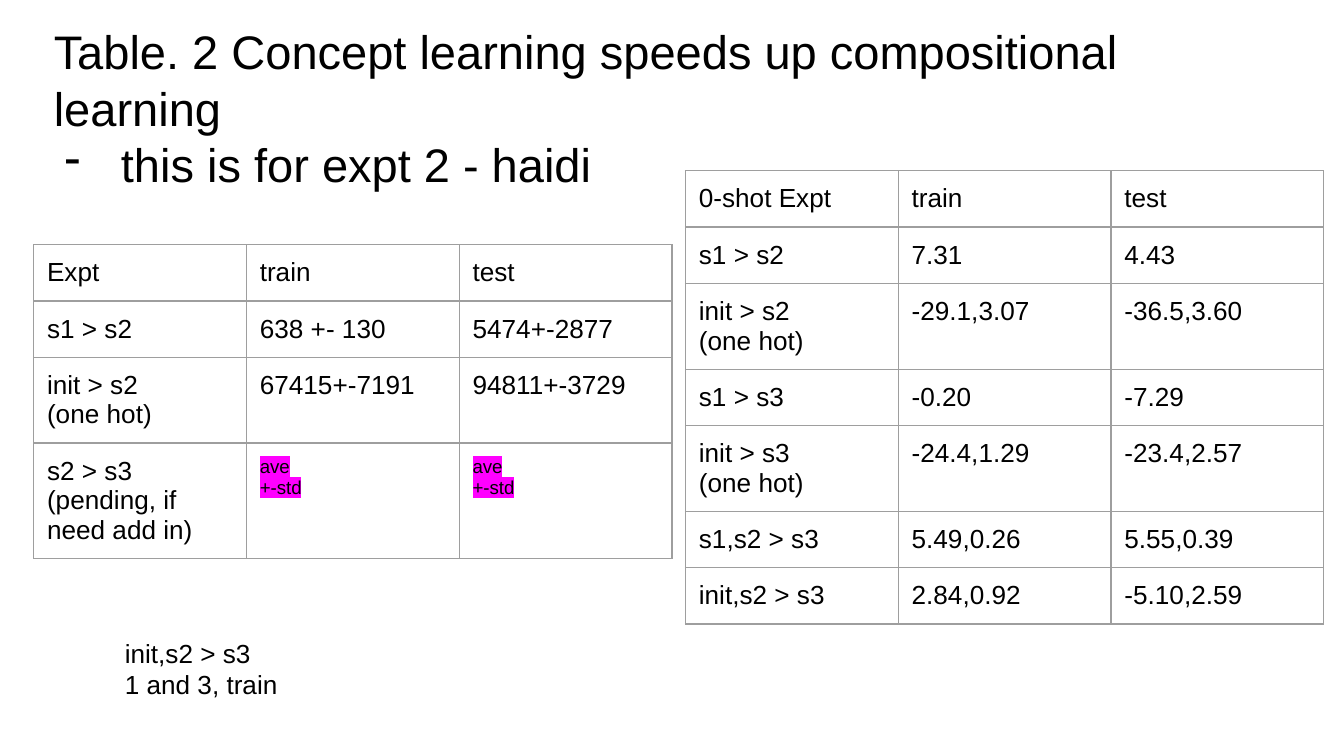
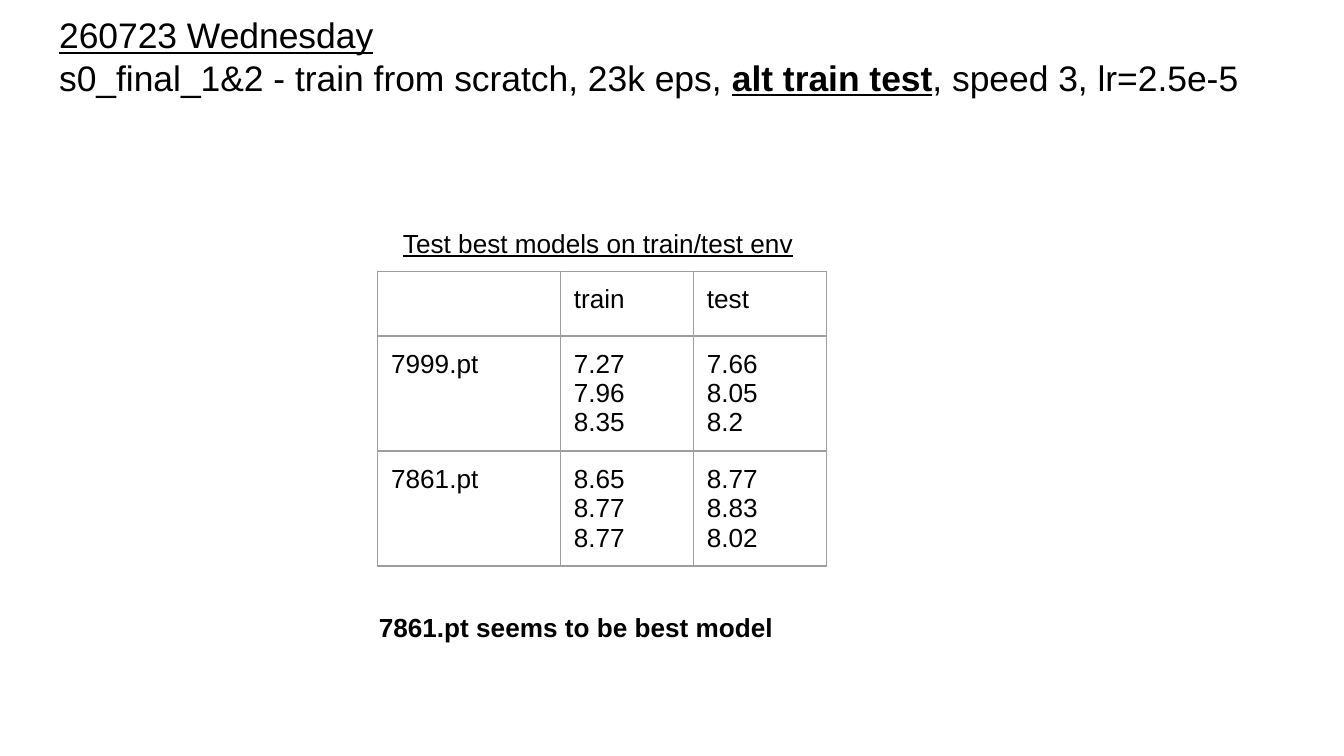
from dataclasses import dataclass

from lxml.etree import SubElement
from pptx import Presentation
from pptx.dml.color import RGBColor as Rgb
from pptx.enum.text import MSO_ANCHOR as Anchor, MSO_AUTO_SIZE as AutoSize, PP_ALIGN as Align
from pptx.oxml import parse_xml
from pptx.oxml.ns import nsdecls, qn
from pptx.util import Inches, Pt


@dataclass(frozen=True)
class Theme:
    font: str = "Arial"
    ink: str = "000000"
    rule: str = "9E9E9E"
    marker: str = "FF00FF"
    body: float = 14
    pending: float = 10
    empty: float = 18
    rule_width: float = 0.75
    inset: float = 0.1
    row: float = 0.42
    title_width: float = 9.32
    title_height: float = 0.63
    hanging: tuple = (0.5, -0.42)


THEME = Theme()
SLIDE_SIZE = 10, 10 * 9 / 16
THIRDS = (4.75 / 3,) * 3
PENDING = "ave\n+-std"

SLIDES = [
    {
        "title": {
            "at": (0.3, 0.07), "size": 25.2,
            "lines": [
                {"runs": [("Table. 2 Concept learning speeds up compositional learning", "")]},
                {"runs": [("this is for expt 2 - haidi", "")], "bullet": "-"},
            ],
        },
        "tables": [
            {
                "at": (0.25, 1.82), "columns": THIRDS,
                "rows": [
                    ("Expt", "train", "test"),
                    ("s1 > s2", "638 +- 130", "5474+-2877"),
                    ("init > s2\n(one hot)", "67415+-7191", "94811+-3729"),
                    ("s2 > s3\n(pending, if need add in)", PENDING, PENDING),
                ],
            },
            {
                "at": (5.1, 1.27), "columns": THIRDS,
                "rows": [
                    ("0-shot Expt", "train", "test"),
                    ("s1 > s2", "7.31", "4.43"),
                    ("init > s2\n(one hot)", "-29.1,3.07", "-36.5,3.60"),
                    ("s1 > s3", "-0.20", "-7.29"),
                    ("init > s3\n(one hot)", "-24.4,1.29", "-23.4,2.57"),
                    ("s1,s2 > s3", "5.49,0.26", "5.55,0.39"),
                    ("init,s2 > s3", "2.84,0.92", "-5.10,2.59"),
                ],
            },
        ],
        "notes": [
            {"box": (0.83, 4.64, 1.42, 0.33), "text": "init,s2 > s3\n1 and 3, train", "style": ""},
        ],
    },
    {
        "title": {
            "at": (0.34, 0), "size": 19,
            "lines": [
                {"runs": [("260723 Wednesday", "u")]},
                {"runs": [
                    ("s0_final_1&2 - train from scratch, 23k eps, ", ""),
                    ("alt train test", "bu"),
                    (", speed 3, lr=2.5e-5", ""),
                ]},
            ],
        },
        "tables": [
            {
                "at": (2.81, 2.02), "columns": (1.36, 0.99, 0.99),
                "rows": [
                    ("", "train", "test"),
                    ("7999.pt", "7.27\n7.96\n8.35", "7.66\n8.05\n8.2"),
                    ("7861.pt", "8.65\n8.77\n8.77", "8.77\n8.83\n8.02"),
                ],
            },
        ],
        "notes": [
            {"box": (2.9, 1.59, 3.16, 0.44), "text": "Test best models on train/test env", "style": "u"},
            {"box": (2.72, 4.45, 3.74, 0.44), "text": "7861.pt seems to be best model", "style": "b"},
        ],
    },
]


def emphasize(font, style):
    if "b" in style:
        font.bold = True
    if "u" in style:
        font.underline = True


def highlight(run):
    run.font.color.rgb = Rgb.from_string(THEME.ink)
    run.font.fill._xPr.find(qn("a:solidFill")).addnext(parse_xml(
        f'<a:highlight {nsdecls("a")}><a:srgbClr val="{THEME.marker}"/></a:highlight>'))


def add_bullet(paragraph, mark):
    props = paragraph._p.get_or_add_pPr()
    margin, indent = THEME.hanging
    props.set("marL", str(Inches(margin)))
    props.set("indent", str(Inches(indent)))
    color = SubElement(props, qn("a:buClr"))
    SubElement(color, qn("a:srgbClr")).set("val", THEME.ink)
    SubElement(props, qn("a:buChar")).set("char", mark)


def set_insets(holder):
    holder.margin_left = holder.margin_right = Inches(THEME.inset)
    holder.margin_top = holder.margin_bottom = Inches(THEME.inset)


def write(frame, lines, size):
    for index, line in enumerate(lines):
        paragraph = frame.add_paragraph() if index else frame.paragraphs[0]
        if "bullet" in line:
            add_bullet(paragraph, line["bullet"])
        paragraph.alignment = Align.LEFT
        font = paragraph.font
        font.name, font.size = THEME.font, Pt(size)
        font.color.rgb = Rgb.from_string(THEME.ink)
        runs = line["runs"]
        for text, style in runs:
            run = paragraph.add_run()
            run.text = text
            emphasize(font if len(runs) == 1 else run.font, style)
            if "h" in style:
                highlight(run)


def plain_lines(text, style=""):
    return [{"runs": [(line, style)] if line else []} for line in text.split("\n")]


def setup_frame(frame):
    set_insets(frame)
    frame.word_wrap = True
    frame.auto_size = AutoSize.NONE
    frame.vertical_anchor = Anchor.TOP


def place_title(slide, content):
    title = slide.shapes.title
    title.left, title.top = map(Inches, content["at"])
    title.width, title.height = Inches(THEME.title_width), Inches(THEME.title_height)
    setup_frame(title.text_frame)
    write(title.text_frame, content["lines"], content["size"])


def add_borders(cell):
    props = cell._tc.get_or_add_tcPr()
    for index, side in enumerate(("lnL", "lnR", "lnT", "lnB")):
        props.insert(index, parse_xml(
            f'<a:{side} {nsdecls("a")} w="{Pt(THEME.rule_width)}"><a:solidFill>'
            f'<a:srgbClr val="{THEME.rule}"/></a:solidFill></a:{side}>'))


def fill_cell(cell, text):
    set_insets(cell)
    cell.fill.background()
    add_borders(cell)
    size, style = {PENDING: (THEME.pending, "h"), "": (THEME.empty, "")}.get(text, (THEME.body, ""))
    write(cell.text_frame, plain_lines(text, style), size)


def place_table(slide, content):
    rows, columns = content["rows"], content["columns"]
    box = *content["at"], sum(columns), THEME.row * len(rows)
    table = slide.shapes.add_table(len(rows), len(columns), *map(Inches, box)).table
    table.first_row = table.horz_banding = False
    for column, width in zip(table.columns, columns):
        column.width = Inches(width)
    for row, texts in zip(table.rows, rows):
        row.height = Inches(THEME.row)
        for cell, text in zip(row.cells, texts):
            fill_cell(cell, text)


def place_note(slide, content):
    frame = slide.shapes.add_textbox(*map(Inches, content["box"])).text_frame
    setup_frame(frame)
    write(frame, plain_lines(content["text"], content["style"]), THEME.body)


def main():
    deck = Presentation()
    deck.slide_width, deck.slide_height = map(Inches, SLIDE_SIZE)
    for content in SLIDES:
        slide = deck.slides.add_slide(deck.slide_layouts[5])
        place_title(slide, content["title"])
        for table in content["tables"]:
            place_table(slide, table)
        for note in content["notes"]:
            place_note(slide, note)
    deck.save("out.pptx")


if __name__ == "__main__":
    main()
